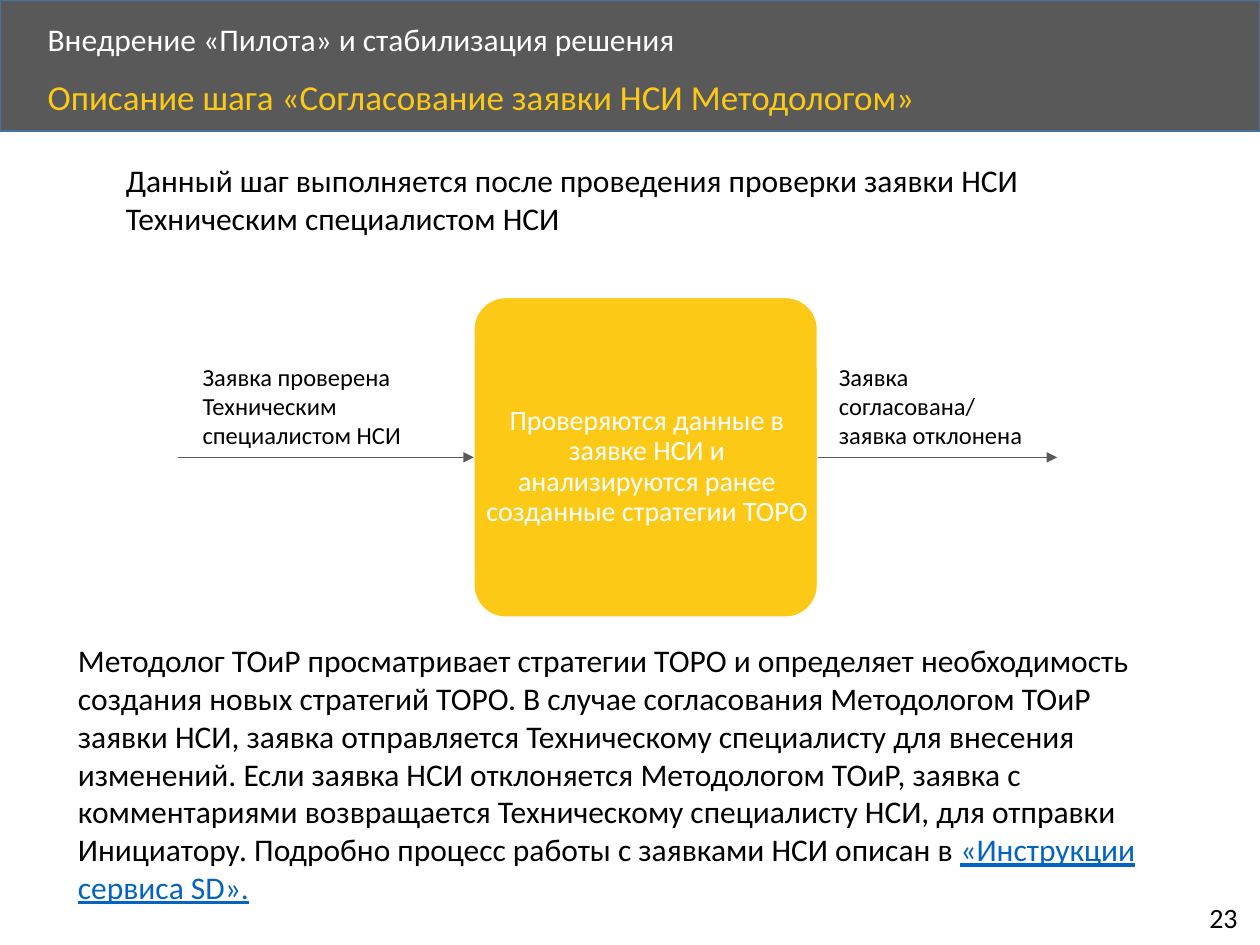
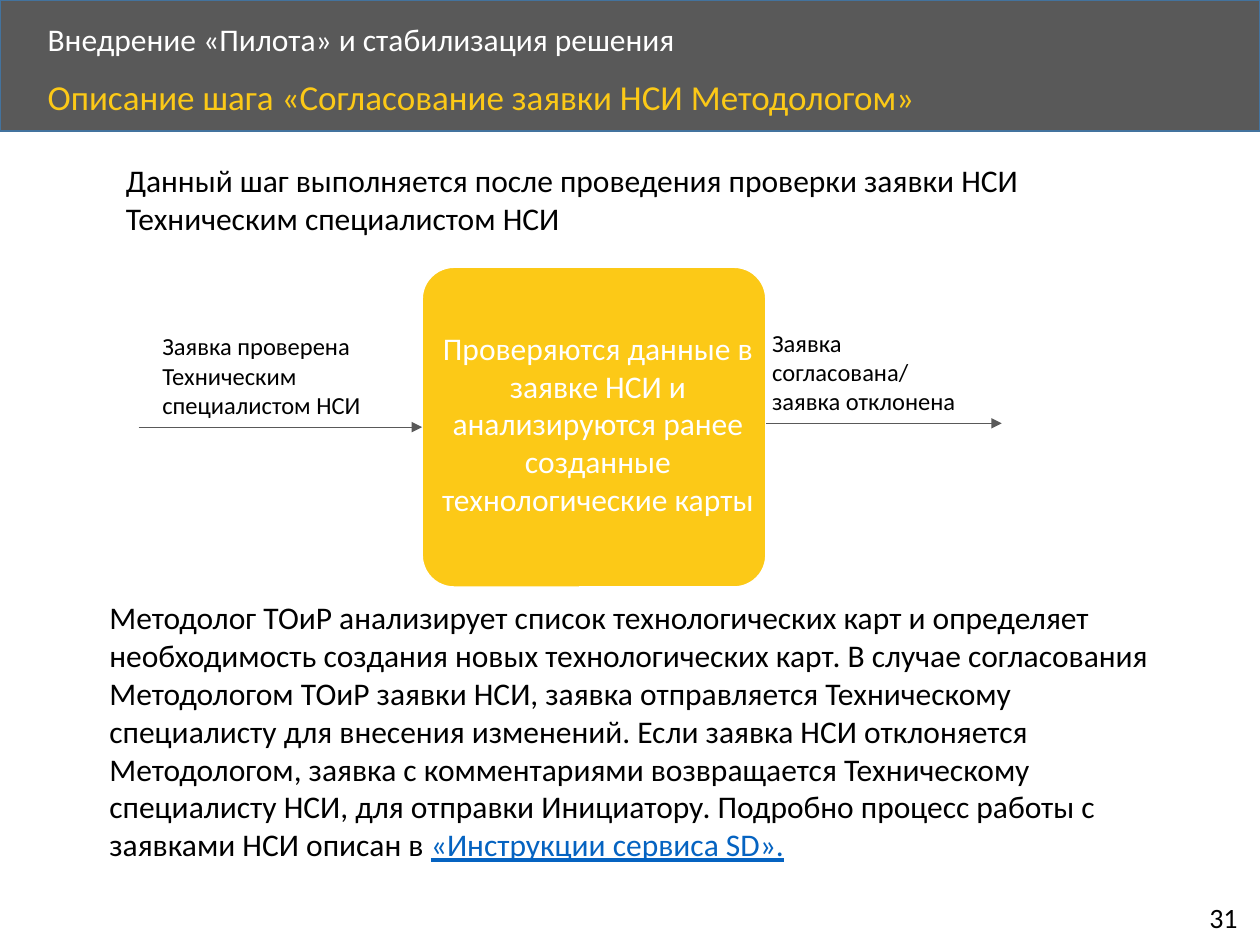
from dataclasses import dataclass
from typing import NamedTuple

import pptx
import pptx.dml.color
import pptx.enum.shapes
import pptx.enum.text
import pptx.oxml.ns
import pptx.presentation
import pptx.slide
import pptx.util
from lxml import etree

RGBColor = pptx.dml.color.RGBColor
GRAPHITE = RGBColor(0x59, 0x59, 0x59)
BAND_EDGE = RGBColor(0x43, 0x73, 0x9E)
AMBER = RGBColor(0xFC, 0xC9, 0x17)
WHITE = RGBColor(0xFF, 0xFF, 0xFF)
BLACK = RGBColor(0x00, 0x00, 0x00)
LINK_BLUE = RGBColor(0x05, 0x63, 0xC1)

FONT = "Calibri"
SLIDE_WIDTH = pptx.util.Inches(10)
SLIDE_HEIGHT = pptx.util.Inches(7.5)
COLUMN = SLIDE_WIDTH / 100
ROW = SLIDE_HEIGHT / 75

SECTION = "Внедрение «Пилота» и стабилизация решения"
TITLE = "Описание шага «Согласование заявки НСИ Методологом»"
INTRO = "Данный шаг выполняется после проведения проверки заявки НСИ Техническим специалистом НСИ"
INPUT = "Заявка проверена Техническим специалистом НСИ"
OUTCOME = "Заявка согласована/ заявка отклонена"
INSTRUCTION = "«Инструкции сервиса SD»."


class Frame(NamedTuple):
    left: float
    top: float
    width: float
    height: float

    @property
    def right(self) -> float:
        return self.left + self.width

    @property
    def middle(self) -> float:
        return self.top + self.height / 2

    def lengths(self) -> tuple[int, int, int, int]:
        return (
            round(self.left * COLUMN),
            round(self.top * ROW),
            round(self.width * COLUMN),
            round(self.height * ROW),
        )


@dataclass(frozen=True)
class TextStyle:
    size: float
    color: RGBColor = BLACK
    line_spacing: float = 1.0
    centered: bool = False
    anchored_middle: bool = False
    grows: bool = False
    wraps: bool = True
    inset: float | None = None


SECTION_STYLE = TextStyle(18, WHITE, line_spacing=0.9, anchored_middle=True)
TITLE_STYLE = TextStyle(20, AMBER, line_spacing=0.9)
NUMBER_STYLE = TextStyle(16, grows=True, wraps=False)
BODY_STYLE = TextStyle(18, grows=True)
LABEL_STYLE = TextStyle(14, grows=True)
COMPACT_STEP_STYLE = TextStyle(
    16, WHITE, line_spacing=0.9, centered=True, anchored_middle=True, inset=0.1
)
STEP_STYLE = TextStyle(18, WHITE, centered=True, anchored_middle=True)

BAND = Frame(0, 0, 100, 10.4)
SECTION_FRAME = Frame(2.8, 1.4, 80.7, 3.8)
TITLE_FRAME = Frame(2.8, 5.9, 86.7, 4.5)
NUMBER_FRAME = Frame(95, 71, 4.6, 3.7)
INTRO_FRAME = Frame(9, 12.3, 80.5, 10.1)
STEP_WIDTH, STEP_HEIGHT = 27.3, 25.4
INPUT_WIDTH, OUTCOME_WIDTH, LABEL_HEIGHT = 20.7, 18.4, 8.1


@dataclass(frozen=True)
class ApprovalStep:
    number: int
    step_left: float
    step_top: float
    step_text: str
    step_text_frame: Frame
    step_style: TextStyle
    input_start: float
    input_label_left: float
    outcome_end: float
    outcome_label_left: float
    outcome_lift: float
    summary: str
    summary_frame: Frame


STEPS = (
    ApprovalStep(
        number=23,
        step_left=37.6,
        step_top=23.6,
        step_text="Проверяются данные в заявке НСИ и анализируются ранее созданные стратегии ТОРО",
        step_text_frame=Frame(38.3, 25.1, 26.1, 23.9),
        step_style=COMPACT_STEP_STYLE,
        input_start=14.1,
        input_label_left=15.1,
        outcome_end=83.9,
        outcome_label_left=65.6,
        outcome_lift=0,
        summary=(
            "Методолог ТОиР просматривает стратегии ТОРО и определяет необходимость "
            "создания новых стратегий ТОРО. В случае согласования Методологом ТОиР "
            "заявки НСИ, заявка отправляется Техническому специалисту для внесения "
            "изменений. Если заявка НСИ отклоняется Методологом ТОиР, заявка с "
            "комментариями возвращается Техническому специалисту НСИ, для отправки "
            "Инициатору. Подробно процесс работы c заявками НСИ описан в "
        ),
        summary_frame=Frame(5.2, 50.4, 88.6, 25.2),
    ),
    ApprovalStep(
        number=31,
        step_left=33.5,
        step_top=21.2,
        step_text="Проверяются данные в заявке НСИ и анализируются ранее созданные технологические карты",
        step_text_frame=Frame(34, 20.9, 26.9, 25.4),
        step_style=STEP_STYLE,
        input_start=11,
        input_label_left=11.9,
        outcome_end=79.5,
        outcome_label_left=60.3,
        outcome_lift=0.3,
        summary=(
            "Методолог ТОиР анализирует список технологических карт и определяет "
            "необходимость создания новых технологических карт. В случае согласования "
            "Методологом ТОиР заявки НСИ, заявка отправляется Техническому "
            "специалисту для внесения изменений. Если заявка НСИ отклоняется "
            "Методологом, заявка с комментариями возвращается Техническому "
            "специалисту НСИ, для отправки Инициатору. Подробно процесс работы c "
            "заявками НСИ описан в "
        ),
        summary_frame=Frame(7.7, 47, 86.4, 22.2),
    ),
)


def add_text(page: pptx.slide.Slide, frame: Frame, text: str, style: TextStyle, link: str = "") -> None:
    box = page.shapes.add_textbox(*frame.lengths())
    text_frame = box.text_frame
    text_frame.word_wrap = style.wraps
    if style.grows:
        text_frame.auto_size = pptx.enum.text.MSO_AUTO_SIZE.SHAPE_TO_FIT_TEXT
    if style.anchored_middle:
        text_frame.vertical_anchor = pptx.enum.text.MSO_ANCHOR.MIDDLE
    if style.inset is not None:
        inset = round(style.inset * COLUMN)
        text_frame.margin_left = text_frame.margin_right = inset
        text_frame.margin_top = text_frame.margin_bottom = inset
    text_frame.text = text
    para = text_frame.paragraphs[0]
    para.line_spacing = style.line_spacing
    if style.centered:
        para.alignment = pptx.enum.text.PP_ALIGN.CENTER
    if link:
        para.add_run().text = link
    for span in para.runs:
        span.font.name = FONT
        span.font.size = pptx.util.Pt(style.size)
        span.font.color.rgb = style.color
    if link:
        span = para.runs[-1]
        span.font.color.rgb = LINK_BLUE
        span.font.underline = True


def add_panel(
    page: pptx.slide.Slide,
    kind: pptx.enum.shapes.MSO_SHAPE,
    frame: Frame,
    fill: RGBColor,
    edge: RGBColor,
):
    panel = page.shapes.add_shape(kind, *frame.lengths())
    panel.shadow.inherit = False
    panel.fill.solid()
    panel.fill.fore_color.rgb = fill
    panel.line.color.rgb = edge
    panel.line.width = pptx.util.Pt(1)
    return panel


def add_arrow(page: pptx.slide.Slide, start: float, end: float, row: float):
    height = round(row * ROW)
    arrow = page.shapes.add_connector(
        pptx.enum.shapes.MSO_CONNECTOR.STRAIGHT,
        round(start * COLUMN), height, round(end * COLUMN), height,
    )
    arrow.line.color.rgb = GRAPHITE
    arrow.line.width = pptx.util.Pt(0.5)
    qualified = pptx.oxml.ns.qn
    etree.SubElement(arrow.line._get_or_add_ln(), qualified("a:tailEnd"), type="triangle")
    etree.SubElement(arrow._element.spPr, qualified("a:effectLst"))
    return arrow


def add_header(page: pptx.slide.Slide, number: int) -> None:
    add_panel(page, pptx.enum.shapes.MSO_SHAPE.RECTANGLE, BAND, GRAPHITE, BAND_EDGE)
    add_text(page, SECTION_FRAME, SECTION, SECTION_STYLE)
    add_text(page, NUMBER_FRAME, str(number), NUMBER_STYLE)
    add_text(page, TITLE_FRAME, TITLE, TITLE_STYLE)


def add_flow(page: pptx.slide.Slide, step: ApprovalStep) -> None:
    frame = Frame(step.step_left, step.step_top, STEP_WIDTH, STEP_HEIGHT)
    step_box = add_panel(page, pptx.enum.shapes.MSO_SHAPE.ROUNDED_RECTANGLE, frame, AMBER, WHITE)
    step_box.adjustments[0] = 0.1
    add_text(page, step.step_text_frame, step.step_text, step.step_style)

    input_arrow = add_arrow(page, step.input_start, frame.left, frame.middle)
    input_arrow.end_connect(step_box, 1)
    outcome_row = frame.middle - step.outcome_lift
    outcome_arrow = add_arrow(page, frame.right, step.outcome_end, outcome_row)
    if not step.outcome_lift:
        outcome_arrow.begin_connect(step_box, 3)

    for text, left, width, row in (
        (INPUT, step.input_label_left, INPUT_WIDTH, frame.middle),
        (OUTCOME, step.outcome_label_left, OUTCOME_WIDTH, outcome_row),
    ):
        add_text(page, Frame(left, row - LABEL_HEIGHT, width, LABEL_HEIGHT), text, LABEL_STYLE)


def add_step_page(deck: pptx.presentation.Presentation, step: ApprovalStep) -> None:
    page = deck.slides.add_slide(deck.slide_layouts[6])
    add_header(page, step.number)
    add_text(page, INTRO_FRAME, INTRO, BODY_STYLE)
    add_flow(page, step)
    add_text(page, step.summary_frame, step.summary, BODY_STYLE, link=INSTRUCTION)


def main() -> None:
    deck = pptx.Presentation()
    deck.slide_width = SLIDE_WIDTH
    deck.slide_height = SLIDE_HEIGHT
    for step in STEPS:
        add_step_page(deck, step)
    deck.save("out.pptx")


if __name__ == "__main__":
    main()
